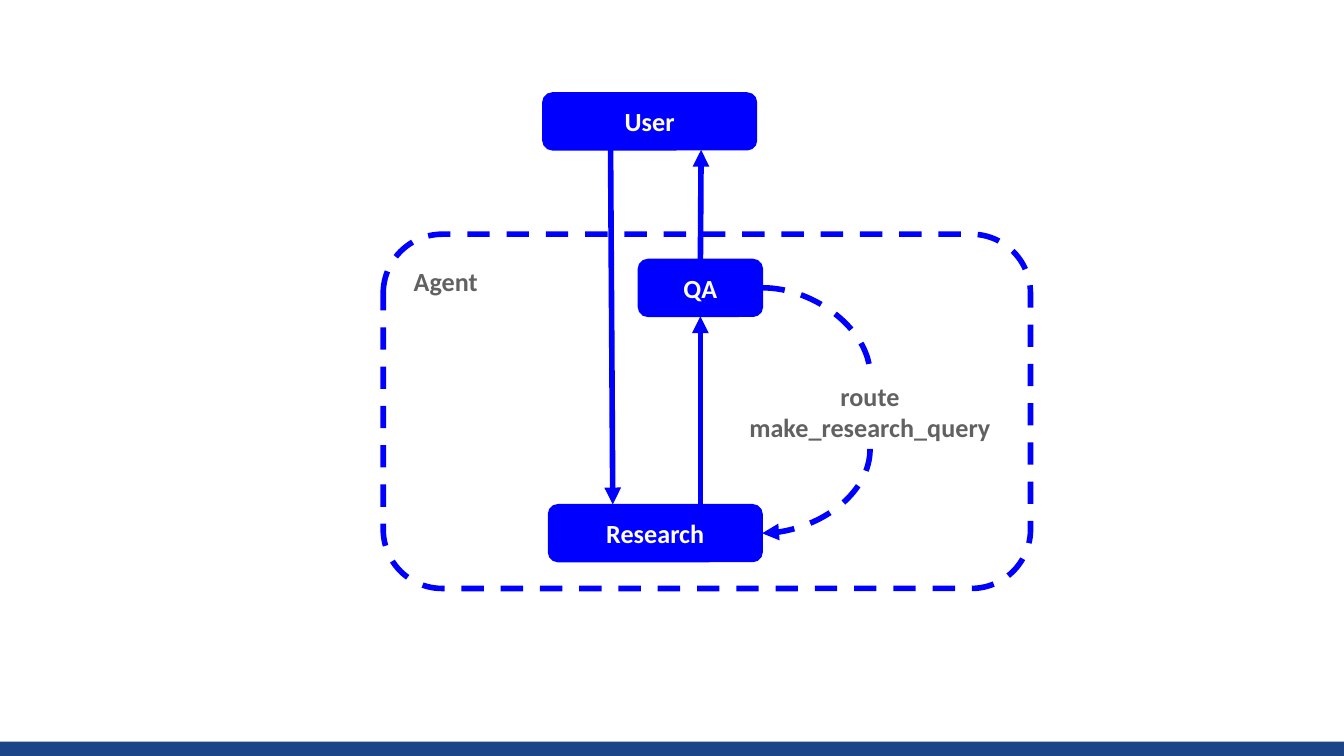
from dataclasses import dataclass

from lxml import etree
from pptx import Presentation
from pptx.dml.color import RGBColor
from pptx.enum.dml import MSO_LINE
from pptx.enum.shapes import MSO_CONNECTOR, MSO_SHAPE
from pptx.enum.text import MSO_ANCHOR, PP_ALIGN
from pptx.oxml.ns import qn
from pptx.util import Pt

DASH = MSO_LINE.DASH
STRAIGHT, CURVE = MSO_CONNECTOR.STRAIGHT, MSO_CONNECTOR.CURVE
RECTANGLE, ROUNDED = MSO_SHAPE.RECTANGLE, MSO_SHAPE.ROUNDED_RECTANGLE
TOP, MIDDLE = MSO_ANCHOR.TOP, MSO_ANCHOR.MIDDLE
LEFT, CENTER = PP_ALIGN.LEFT, PP_ALIGN.CENTER
TOP_SIDE, BOTTOM_SIDE = 0, 2


@dataclass(frozen=True)
class Theme:
    """Colours, font and sizes of the slide."""

    blue: RGBColor = RGBColor(0x00, 0x00, 0xFF)
    navy: RGBColor = RGBColor(0x1C, 0x45, 0x87)
    gray: RGBColor = RGBColor(0x61, 0x61, 0x61)
    white: RGBColor = RGBColor(0xFF, 0xFF, 0xFF)
    font: str = "Calibri"
    text_size: float = 14
    thick: float = 3
    thin: float = 0.75


THEME = Theme()


def add_band(page, left, top, width, height):
    """Add the plain coloured band at the foot of the page."""
    band = page.shapes.add_shape(RECTANGLE, Pt(left), Pt(top), Pt(width), Pt(height))
    band.shadow.inherit = False
    band.fill.solid()
    band.fill.fore_color.rgb = THEME.navy
    band.line.fill.background()


def write_text(box, lines, color, align, anchor):
    """Write bold lines into a box, one paragraph each."""
    frame = box.text_frame
    frame.word_wrap = True
    frame.vertical_anchor = anchor
    frame.margin_left = frame.margin_right = Pt(7.2)
    frame.margin_top = frame.margin_bottom = Pt(7.2)
    frame.text = "\n".join(lines)
    for para in frame.paragraphs:
        para.alignment = align
        para.font.name = THEME.font
        para.font.size = Pt(THEME.text_size)
        para.font.bold = True
        para.font.color.rgb = color


def add_box(page, frame, lines, fill, color):
    """Add a filled rounded box with centred text."""
    box = page.shapes.add_shape(ROUNDED, *map(Pt, frame))
    box.shadow.inherit = False
    box.fill.solid()
    box.fill.fore_color.rgb = fill
    box.line.color.rgb = fill
    box.line.width = Pt(THEME.thin)
    write_text(box, lines, color, CENTER, MIDDLE)
    return box


def add_region(page, frame, label):
    """Add a dashed rounded outline labelled at its top left."""
    region = page.shapes.add_shape(ROUNDED, *map(Pt, frame))
    region.shadow.inherit = False
    region.fill.background()
    region.line.color.rgb = THEME.blue
    region.line.width = Pt(THEME.thick)
    region.line.dash_style = DASH
    write_text(region, [label], THEME.gray, LEFT, TOP)


def add_link(page, kind, start, end, dashed=False, arrow=True):
    """Add a thick connector, with an arrowhead at its end if wanted."""
    link = page.shapes.add_connector(kind, *map(Pt, start + end))
    link.line.color.rgb = THEME.blue
    link.line.width = Pt(THEME.thick)
    if dashed:
        link.line.dash_style = DASH
    properties = link._element.spPr
    if arrow:
        etree.SubElement(properties.find(qn("a:ln")), qn("a:tailEnd"), type="triangle")
    etree.SubElement(properties, qn("a:effectLst"))
    return link


def add_curve(page, start, end, turned=False, arrow=False):
    """Add a dashed quarter curve, turned by 90 degrees if it sets off downwards."""
    if turned:
        middle_x, middle_y = (start[0] + end[0]) / 2, (start[1] + end[1]) / 2
        half_width, half_height = abs(end[1] - start[1]) / 2, abs(end[0] - start[0]) / 2
        start = (middle_x - half_width, middle_y - half_height)
        end = (middle_x + half_width, middle_y + half_height)
    curve = add_link(page, CURVE, start, end, dashed=True, arrow=arrow)
    properties = curve._element.spPr
    properties.find(qn("a:prstGeom")).set("prst", "curvedConnector2")
    if turned:
        properties.find(qn("a:xfrm")).set("rot", "5400000")


def main():
    """Build the agent flow slide and save it."""
    deck = Presentation()
    deck.slide_width, deck.slide_height = Pt(720), Pt(405)
    page = deck.slides.add_slide(deck.slide_layouts[6])

    add_band(page, 0, 397.3, 720, 7.7)
    add_region(page, (205.3, 125.5, 346.8, 189.8), "Agent")
    add_box(page, (290.8, 49.8, 114.5, 30.5), ["User"], THEME.blue, THEME.white)
    add_link(page, STRAIGHT, (327.1, 80.3), (328.3, 270.2))
    qa = add_box(page, (342, 139, 66.5, 30.5), ["QA"], THEME.blue, THEME.white)
    answer = add_link(page, STRAIGHT, (375.25, 139), (375.6, 80.3))
    answer.begin_connect(qa, TOP_SIDE)
    findings = add_link(page, STRAIGHT, (375.25, 270.4), (375.25, 169.5))
    findings.end_connect(qa, BOTTOM_SIDE)
    add_box(page, (293.8, 270.4, 114.5, 30.5), ["Research"], THEME.blue, THEME.white)
    add_box(page, (385.8, 200.7, 160.6, 39.8), ["route", "make_research_query"],
            THEME.white, THEME.gray)
    add_curve(page, (408.5, 154.2), (466.1, 200.7))
    add_curve(page, (466.1, 240.5), (408.3, 285.7), turned=True, arrow=True)

    deck.save("out.pptx")


if __name__ == "__main__":
    main()
